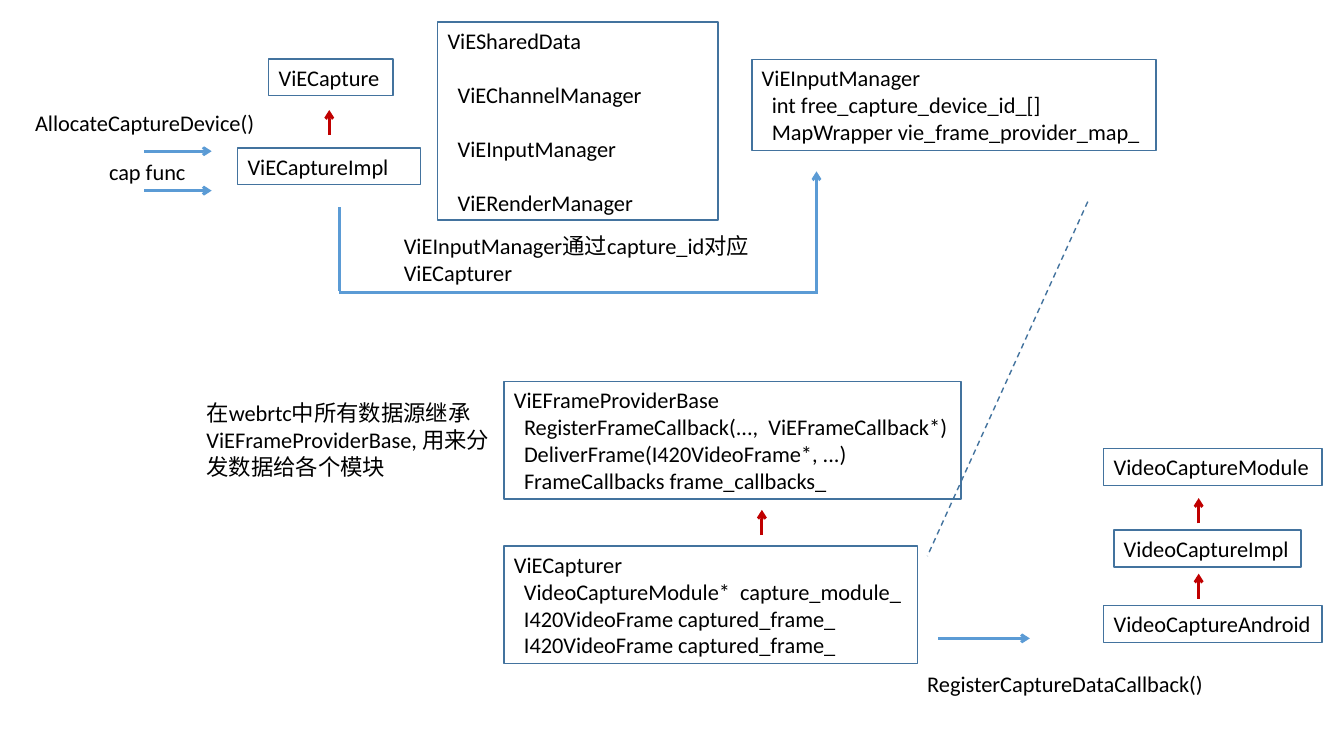
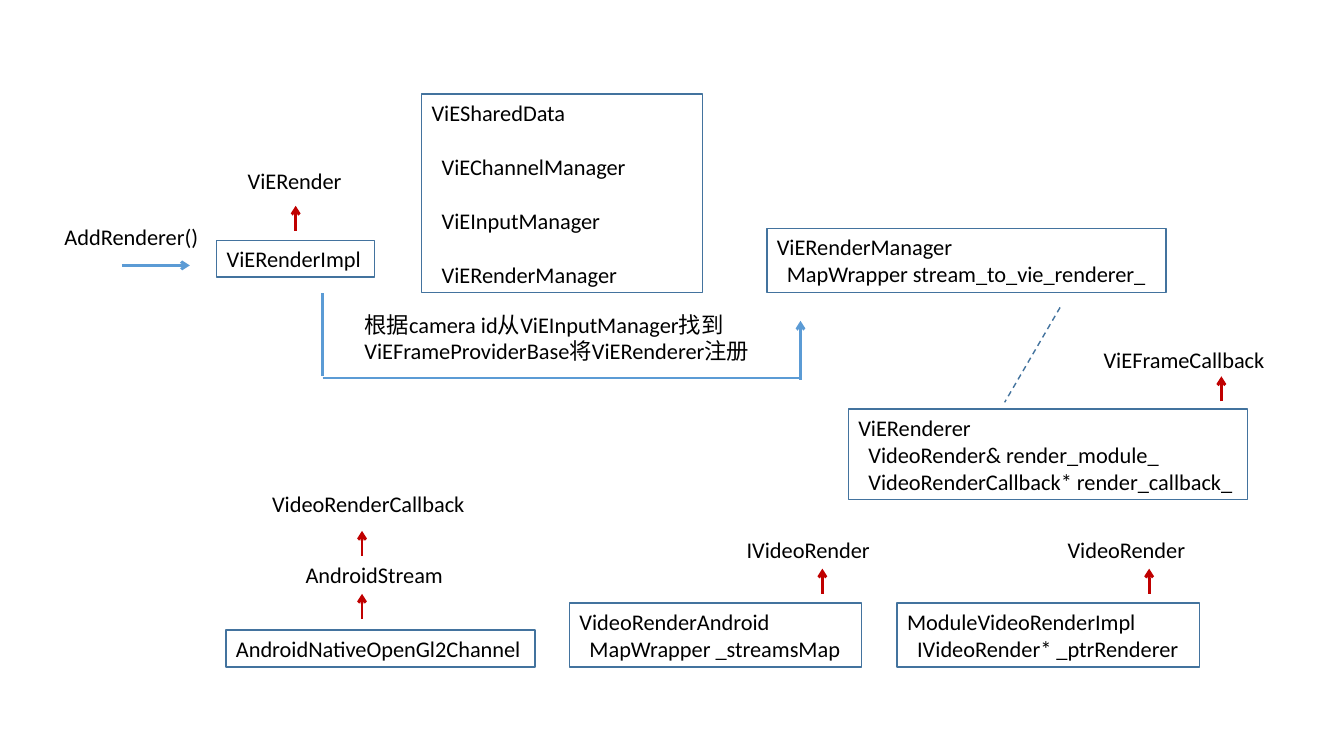
from dataclasses import dataclass

from lxml import etree
from pptx import Presentation
from pptx.dml.color import RGBColor
from pptx.enum.dml import MSO_LINE
from pptx.enum.shapes import MSO_CONNECTOR, MSO_SHAPE
from pptx.enum.text import MSO_ANCHOR, PP_ALIGN
from pptx.oxml.ns import qn
from pptx.util import Inches, Pt

RECTANGLE = MSO_SHAPE.RECTANGLE
STRAIGHT = MSO_CONNECTOR.STRAIGHT
DASH = MSO_LINE.DASH
TOP, LEFT = MSO_ANCHOR.TOP, PP_ALIGN.LEFT


@dataclass(frozen=True)
class Theme:
    ink: RGBColor = RGBColor(0x00, 0x00, 0x00)
    border: RGBColor = RGBColor(0x43, 0x73, 0x9E)
    call: RGBColor = RGBColor(0x5B, 0x9B, 0xD5)
    inherit: RGBColor = RGBColor(0xC0, 0x00, 0x00)
    font: str = "Calibri"
    size: Pt = Pt(16)
    blank_line: Pt = Pt(19.5)
    thin: Pt = Pt(1)
    thick: Pt = Pt(2)


THEME = Theme()

# Grid of 160 columns by 90 square cells; all lengths below are in cells
deck = Presentation()
deck.slide_width, deck.slide_height = Inches(13.333), Inches(7.5)
CELL = deck.slide_height / 90
LINE_ROWS, PADDING_ROWS = 3.2, 1.2
MEMBER_INDENT = 1.2
INHERIT_ROWS = 3
SHARED_WIDTH = 33.4
SHARED_DATA = ["ViESharedData", "ViEChannelManager", "ViEInputManager", "ViERenderManager"]


def add_text(slide, column, row, width, lines, boxed=False, spaced=False):
    """A class box with indented members, or a plain label."""
    line_count = 2 * len(lines) - 1 if spaced else len(lines)
    place = [round(n * CELL) for n in
             (column, row, width, PADDING_ROWS + LINE_ROWS * line_count)]
    if boxed:
        block = slide.shapes.add_shape(RECTANGLE, *place)
        block.shadow.inherit = False
        block.fill.background()
        block.line.color.rgb = THEME.border
        block.line.width = THEME.thin
    else:
        block = slide.shapes.add_textbox(*place)
    frame = block.text_frame
    frame.word_wrap = True
    frame.vertical_anchor = TOP
    frame.text = "\n".join(lines)
    for index, paragraph in enumerate(frame.paragraphs):
        paragraph.alignment = LEFT
        if boxed and index:
            paragraph._p.get_or_add_pPr().set("marL", str(round(MEMBER_INDENT * CELL)))
        if spaced and index:
            paragraph.space_before = THEME.blank_line
        for run in paragraph.runs:
            run.font.name = THEME.font
            run.font.size = THEME.size
            run.font.color.rgb = THEME.ink


def add_line(slide, points, color, arrow=False, dashed=False):
    """A straight line through (x1, y1, x2, y2)."""
    link = slide.shapes.add_connector(STRAIGHT, *[round(n * CELL) for n in points])
    link.line.color.rgb = color
    link.line.width = THEME.thin if dashed else THEME.thick
    if dashed:
        link.line.dash_style = DASH
    if arrow:
        etree.SubElement(link.line._get_or_add_ln(), qn("a:tailEnd"), type="arrow")
    etree.SubElement(link._element.spPr, qn("a:effectLst"))


# Capture side
capture = {
    "shared": (52.1, 2.6),
    "classes": [
        (32, 7, 14.8, ["ViECapture"]),
        (28.3, 17.6, 21.8, ["ViECaptureImpl"]),
        (89.5, 7.1, 48.1, ["ViEInputManager", "int free_capture_device_id_[]",
                           "MapWrapper vie_frame_provider_map_"]),
        (60, 45.4, 54.4, ["ViEFrameProviderBase",
                          "RegisterFrameCallback(...,  ViEFrameCallback*)",
                          "DeliverFrame(I420VideoFrame*, ...)",
                          "FrameCallbacks frame_callbacks_"]),
        (60, 65, 49.2, ["ViECapturer", "VideoCaptureModule*  capture_module_",
                        "I420VideoFrame captured_frame_",
                        "I420VideoFrame captured_frame_"]),
        (131.4, 53.4, 26, ["VideoCaptureModule"]),
        (132.6, 63.1, 22.3, ["VideoCaptureImpl"]),
        (131.4, 72.1, 26, ["VideoCaptureAndroid"]),
    ],
    "labels": [
        (3, 12.4, 29, ["AllocateCaptureDevice()"]),
        (11.8, 18.2, 11.5, ["cap func"]),
        (46.9, 27, 43.7, ["ViEInputManager通过capture_id对应", "ViECapturer"]),
        (23.4, 46.9, 36.7, ["在webrtc中所有数据源继承ViEFrameProviderBase, 用来分",
                            "发数据给各个模块"]),
        (109.2, 79.2, 35.9, ["RegisterCaptureDataCallback()"]),
    ],
    "inherits": [(39.2, 16.1), (90.7, 63.7), (142.7, 62.3), (142.7, 71.3)],
    "calls": [(17.2, 18, 25.2, 18), (17.2, 22.7, 25.2, 22.7),
              (97.2, 35, 97.2, 20.4), (111.7, 76, 122.6, 76)],
    "routes": [(40.4, 24.7, 40.4, 34.6), (40.4, 34.8, 97.2, 34.8)],
    "holds": (129.5, 24, 110.4, 66.2),
}

# Render side
render = {
    "shared": (50.2, 11.2),
    "classes": [
        (25.8, 28.6, 18.8, ["ViERenderImpl"]),
        (91.3, 27.2, 47.5, ["ViERenderManager", "MapWrapper stream_to_vie_renderer_"]),
        (101, 48.7, 47.5, ["ViERenderer", "VideoRender& render_module_",
                           "VideoRenderCallback* render_callback_"]),
        (26.9, 75, 36.8, ["AndroidNativeOpenGl2Channel"]),
        (67.8, 71.8, 34.8, ["VideoRenderAndroid", "MapWrapper _streamsMap"]),
        (106.8, 71.8, 36, ["ModuleVideoRenderImpl", "IVideoRender* _ptrRenderer"]),
    ],
    "labels": [
        (28.3, 19.3, 14, ["ViERender"]),
        (6.5, 26, 18.5, ["AddRenderer()"]),
        (42.2, 36.4, 49.1, ["根据camera id从ViEInputManager找到",
                            "ViEFrameProviderBase将ViERenderer注册"]),
        (130.2, 40.6, 22.6, ["ViEFrameCallback"]),
        (31.2, 57.7, 25.8, ["VideoRenderCallback"]),
        (35.2, 66.2, 20.6, ["AndroidStream"]),
        (87.7, 63.2, 17.8, ["IVideoRender"]),
        (125.9, 63.2, 16.9, ["VideoRender"]),
    ],
    "inherits": [(35.2, 27.5), (145.4, 47.8), (43.1, 66.2), (43.1, 73.7),
                 (97.9, 70.7), (136.8, 70.7)],
    "calls": [(14.5, 31.6, 22.6, 31.6), (95.3, 45.2, 95.3, 38.2)],
    "routes": [(38.4, 34.9, 38.4, 44.8), (38.4, 45, 95.3, 45)],
    "holds": (126.2, 36.6, 119.6, 47.9),
}

# Draw both diagrams
blank = deck.slide_layouts[6]
for diagram in (capture, render):
    slide = deck.slides.add_slide(blank)
    add_text(slide, *diagram["shared"], SHARED_WIDTH, SHARED_DATA, boxed=True, spaced=True)
    for entry in diagram["classes"]:
        add_text(slide, *entry, boxed=True)
    for entry in diagram["labels"]:
        add_text(slide, *entry)
    for x, y in diagram["inherits"]:
        add_line(slide, (x, y, x, y - INHERIT_ROWS), THEME.inherit, arrow=True)
    for points in diagram["calls"]:
        add_line(slide, points, THEME.call, arrow=True)
    for points in diagram["routes"]:
        add_line(slide, points, THEME.call)
    add_line(slide, diagram["holds"], THEME.border, dashed=True)

deck.save("out.pptx")
